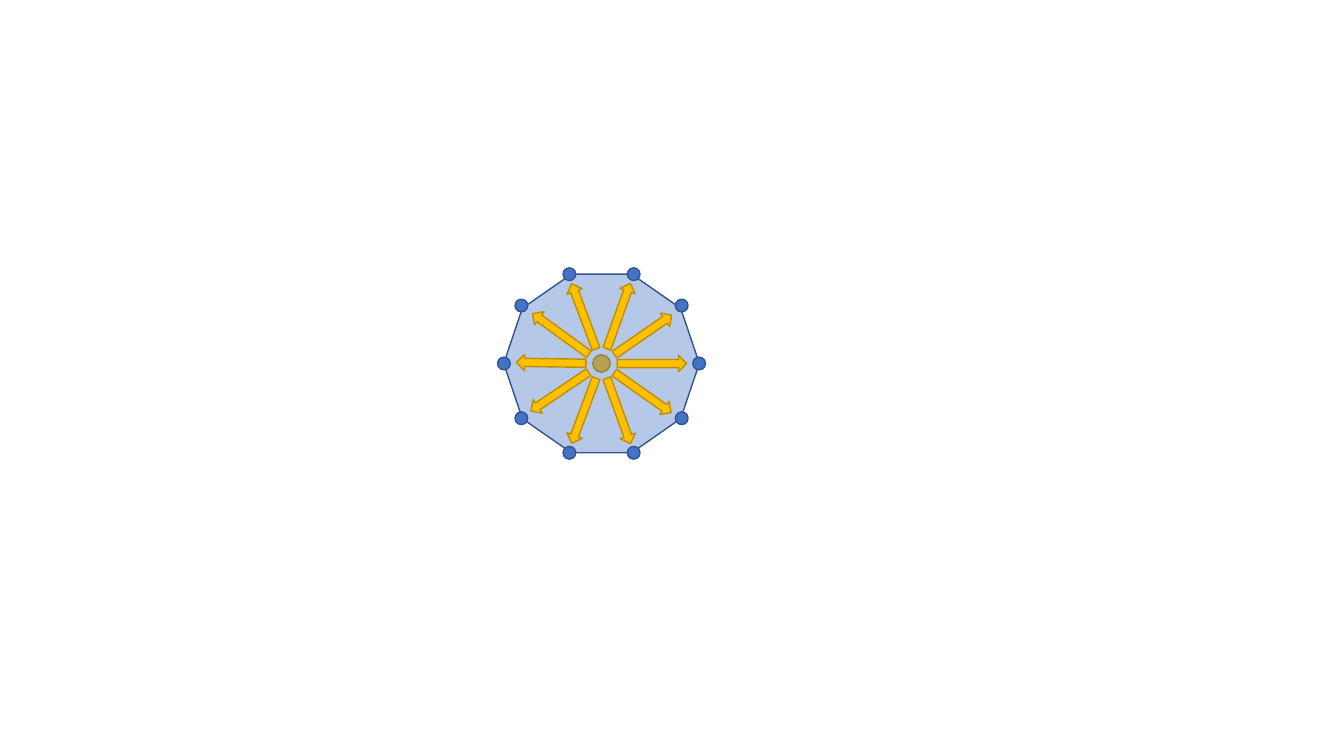
import math
from dataclasses import dataclass

from lxml import etree
from pptx import Presentation
from pptx.dml.color import RGBColor
from pptx.enum.shapes import MSO_SHAPE
from pptx.oxml.ns import qn
from pptx.util import Cm, Pt

ELLIPSE = MSO_SHAPE.OVAL
DECAGON = MSO_SHAPE.DECAGON
ARROW = MSO_SHAPE.DOWN_ARROW

COLORS = {
    "blue": "4472C4",
    "blue_line": "325491",
    "gold": "FFC000",
    "gold_line": "BD8E00",
}


@dataclass(frozen=True)
class Style:
    kind: MSO_SHAPE
    width: float
    height: float
    color: str
    opacity: int = 100


HUB = Style(ELLIPSE, 0.44, 0.44, "gold")
BODY = Style(DECAGON, 4.93, 4.5, "blue", 39)
NODE = Style(ELLIPSE, 0.32, 0.32, "blue")
SPOKE = Style(ARROW, 0.41, 1.75, "gold")

# Centre of the wheel and distance to the middle of each arrow, in cm
CX, CY = 15.16, 9.16
SPOKE_RADIUS = 1.27

# Each row of nodes: half the distance between the pair, height from the centre
NODE_ROWS = [(0.81, -2.25), (2.02, -1.46), (2.46, 0), (2.02, 1.38), (0.81, 2.25)]

# Clockwise turn of each arrow from pointing down
SPOKE_ANGLES = [159.4, 235.4, 56.1, 340.1, 305.2, 125.9, 199.7, 20.5, 270, 90.8]


def add_centered(shapes, style: Style, dx: float = 0, dy: float = 0,
                 angle: float = 0) -> None:
    """Place a styled shape with its middle at an offset from the wheel centre."""
    sp = shapes.add_shape(
        style.kind,
        Cm(CX + dx - style.width / 2), Cm(CY + dy - style.height / 2),
        Cm(style.width), Cm(style.height))
    sp.rotation = angle
    sp.shadow.inherit = False
    sp.fill.solid()
    sp.fill.fore_color.rgb = RGBColor.from_string(COLORS[style.color])
    sp.line.color.rgb = RGBColor.from_string(COLORS[style.color + "_line"])
    sp.line.width = Pt(1)
    if style.opacity < 100:
        clr = sp._element.spPr.find(qn("a:solidFill"))[0]
        etree.SubElement(clr, qn("a:alpha"), val=str(style.opacity * 1000))


prs = Presentation()
prs.slide_width, prs.slide_height = Cm(33.87), Cm(19.05)
s = prs.slides.add_slide(prs.slide_layouts[6])

# Hub, seen through the decagon
add_centered(s.shapes, HUB)

# Decagon with a node on every corner
wheel = s.shapes.add_group_shape().shapes
add_centered(wheel, BODY)
for half, dy in NODE_ROWS:
    for dx in (-half, half):
        add_centered(wheel, NODE, dx, dy)

# Arrows from the hub outwards
spokes = s.shapes.add_group_shape().shapes
for angle in SPOKE_ANGLES:
    turn = math.radians(angle)
    add_centered(spokes, SPOKE, -SPOKE_RADIUS * math.sin(turn),
                 SPOKE_RADIUS * math.cos(turn), angle)

prs.save("out.pptx")
